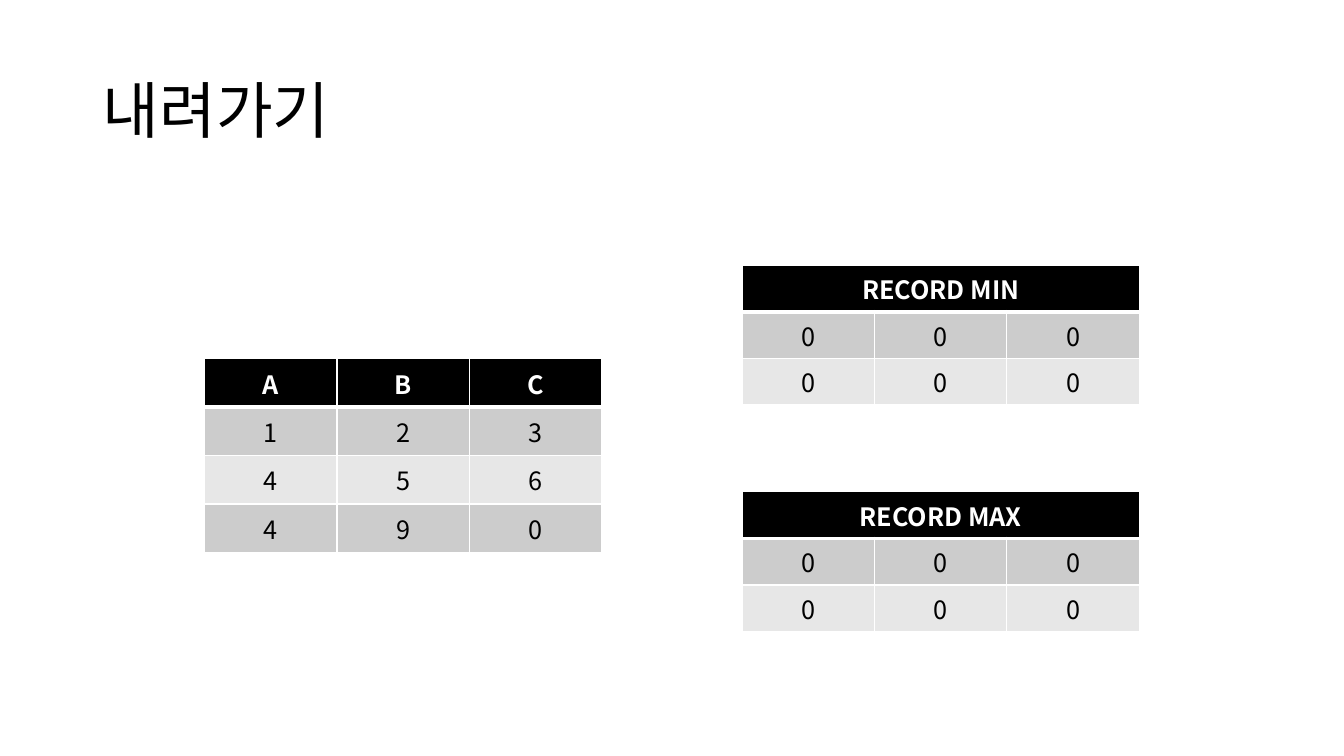
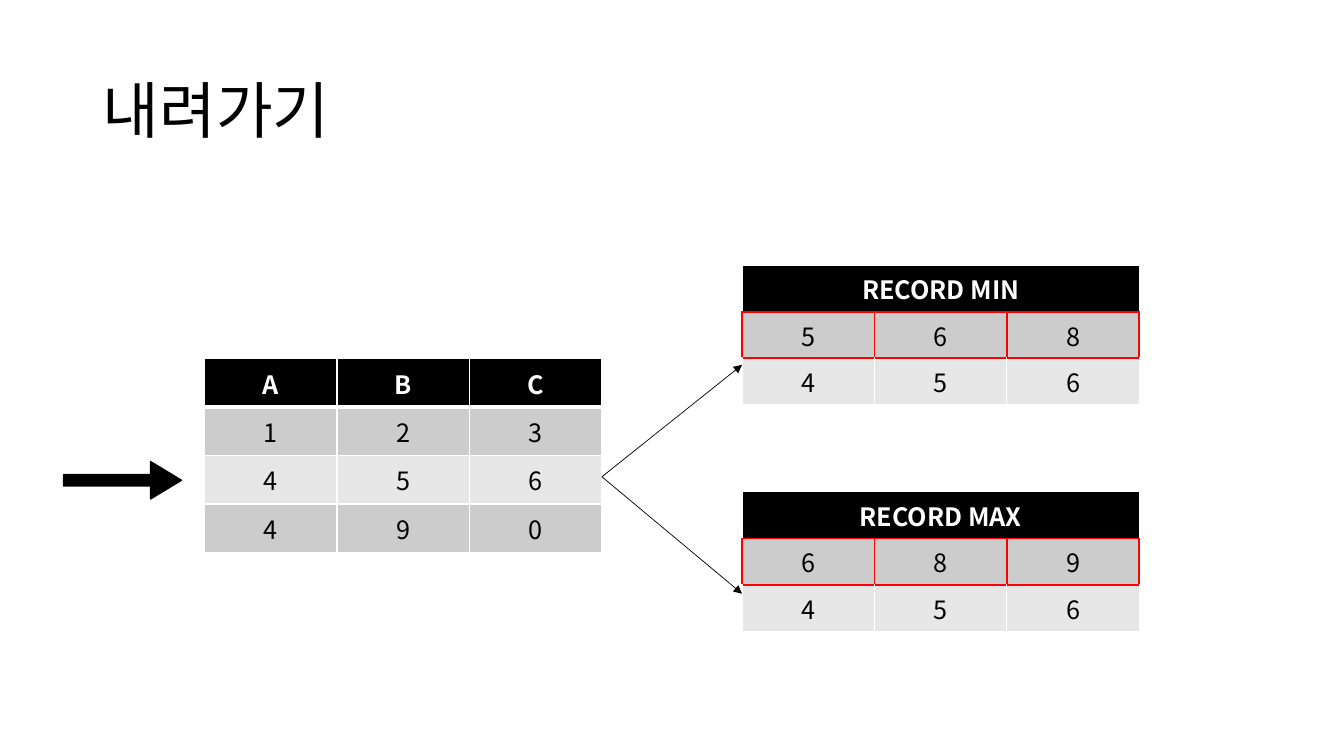
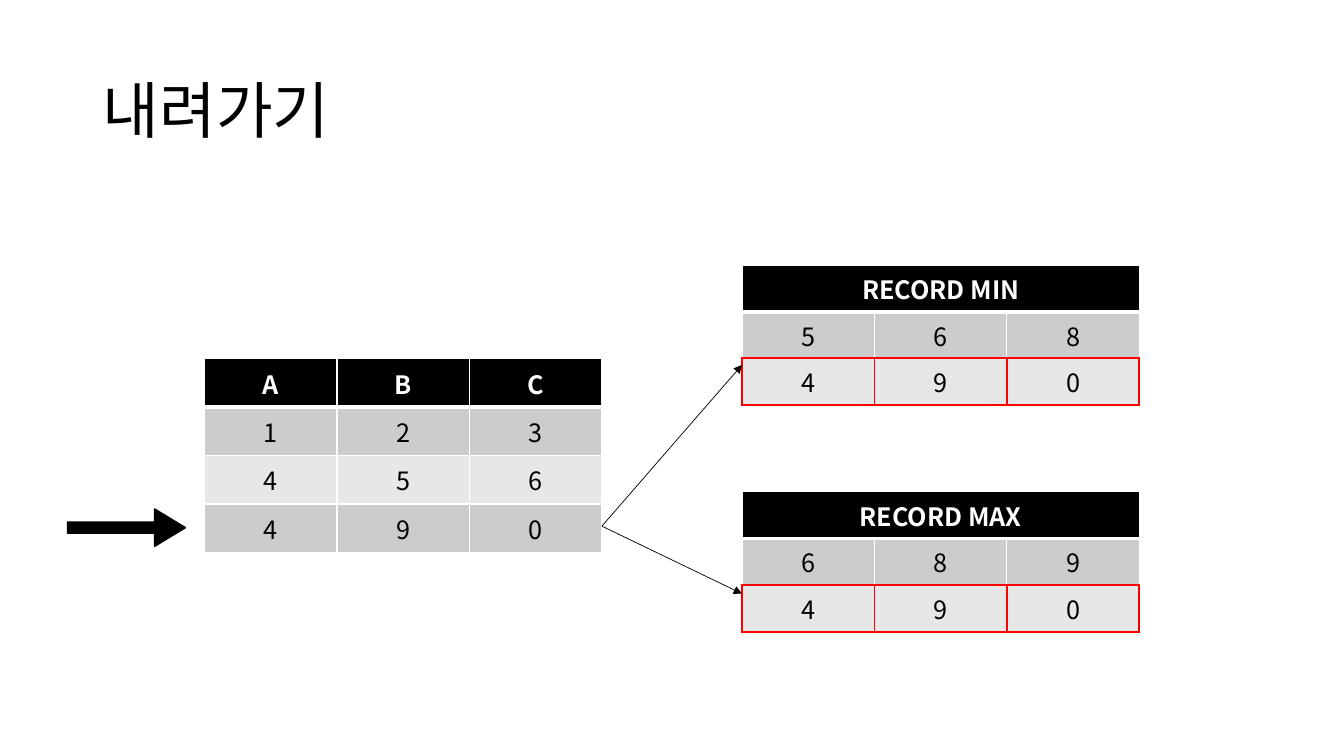
from lxml.etree import SubElement as Sub
from pptx import Presentation
from pptx.dml.color import RGBColor as Rgb
from pptx.enum.shapes import MSO_CONNECTOR as Link, MSO_SHAPE as Shape
from pptx.enum.text import MSO_ANCHOR as Anchor, MSO_AUTO_SIZE as Auto, PP_ALIGN as Align
from pptx.oxml.ns import qn
from pptx.util import Inches, Pt

BLACK = Rgb(0x00, 0x00, 0x00)
WHITE = Rgb(0xFF, 0xFF, 0xFF)
RED = Rgb(0xFF, 0x00, 0x00)
DARK = Rgb(0xCC, 0xCC, 0xCC)
LIGHT = Rgb(0xE7, 0xE7, 0xE7)
FACE = "Noto Sans CJK KR"

HEAD = {"size": Pt(18), "bold": True}
BODY = {"size": Pt(18), "bold": False}
TITLE = {"size": Pt(44), "bold": False}

# Table places: left, top, row height
INPUT = (2.03, 3.56, 0.48)
RECORDS = {"RECORD MIN": (7.36, 2.63, 0.46), "RECORD MAX": (7.36, 4.88, 0.46)}
WIDE = 3.94
TIPS = (3.62, 5.89)


class Deck:
    """Holds the shared style and the current slide."""

    def __init__(self):
        self.file = Presentation()
        self.file.slide_width = Inches(13.33)
        self.file.slide_height = Inches(7.5)
        self.slide = None

    def label(self, frame, text, form, color, align):
        para = frame.paragraphs[0]
        para.alignment = align
        run = para.add_run()
        run.text = text
        for key, value in form.items():
            setattr(run.font, key, value)
        run.font.color.rgb = color
        run.font.name = FACE
        # East Asian face for the Korean text
        Sub(run.font._element, qn("a:ea"), typeface=FACE)
        return para

    def page(self, title):
        self.slide = self.file.slides.add_slide(self.file.slide_layouts[5])
        head = self.slide.shapes.title
        place = {"left": 0.92, "top": 0.4, "width": 11.5, "height": 1.45}
        for key, value in place.items():
            setattr(head, key, Inches(value))
        frame = head.text_frame
        frame.auto_size = Auto.NONE
        frame.vertical_anchor = Anchor.MIDDLE
        para = self.label(frame, title, TITLE, BLACK, Align.LEFT)
        para.line_spacing = 0.9

    def border(self, cell, side, color, width):
        line = Sub(cell._tc.get_or_add_tcPr(), qn("a:ln" + side), w=str(Pt(width)))
        Sub(Sub(line, qn("a:solidFill")), qn("a:srgbClr"), val=str(color))

    def edge(self, row, lit):
        """Style of the rule above a row."""
        if lit in (row - 1, row):
            return RED, 1.5
        return WHITE, 3 if row == 1 else 1

    def table(self, place, rows, lit=None):
        """Draw rows under a header; a one-word header row spans the table."""
        left, top, high = place
        count = len(rows[-1])
        grid = self.slide.shapes.add_table(
            len(rows), count, Inches(left), Inches(top),
            Inches(WIDE), Inches(high * len(rows))).table
        grid.horz_banding = False
        for r in range(len(rows)):
            side = (RED, 1.5) if r == lit else (WHITE, 1)
            above, below = self.edge(r, lit), self.edge(r + 1, lit)
            fill = BLACK if r == 0 else DARK if r % 2 else LIGHT
            for c in range(count):
                cell = grid.cell(r, c)
                for name, rule in zip("LRTB", (side, side, above, below)):
                    self.border(cell, name, *rule)
                cell.fill.solid()
                cell.fill.fore_color.rgb = fill
                cell.vertical_anchor = Anchor.MIDDLE
            for c, text in enumerate(rows[r]):
                form, color = (BODY, BLACK) if r else (HEAD, WHITE)
                self.label(grid.cell(r, c).text_frame, text, form, color, Align.CENTER)
        if len(rows[0]) == 1:
            grid.cell(0, 0).merge(grid.cell(0, count - 1))

    def block(self, left, top):
        arrow = self.slide.shapes.add_shape(
            Shape.RIGHT_ARROW, Inches(left), Inches(top), Inches(1.17), Inches(0.37))
        arrow.shadow.inherit = False
        arrow.adjustments[0] = 0.3
        arrow.adjustments[1] = 0.825
        arrow.fill.solid()
        arrow.fill.fore_color.rgb = BLACK
        arrow.line.color.rgb = BLACK
        arrow.line.width = Pt(1)

    def arrow(self, start, end):
        link = self.slide.shapes.add_connector(
            Link.STRAIGHT, *[Inches(value) for value in start + end])
        link.line.color.rgb = BLACK
        link.line.width = Pt(0.5)
        prop = link._element.spPr
        Sub(prop.find(qn("a:ln")), qn("a:tailEnd"), type="triangle")
        Sub(prop, qn("a:effectLst"))


def main():
    deck = Deck()
    # Each step: record rows, lit row, block arrow place, start of the thin arrows
    steps = [
        (("000", "000"), ("000", "000"), None, None, None),
        (("568", "456"), ("689", "456"), 1, (0.63, 4.58), 4.73),
        (("568", "490"), ("689", "490"), 2, (0.67, 5.05), 5.22),
    ]
    for low, high, lit, mark, start in steps:
        deck.page("내려가기")
        deck.table(INPUT, ["ABC", "123", "456", "490"])
        # Record tables
        for (name, place), rows in zip(RECORDS.items(), (low, high)):
            deck.table(place, [[name], *rows], lit)
        # Arrows of the current row
        if mark:
            deck.block(*mark)
            for tip in TIPS:
                deck.arrow((INPUT[0] + WIDE, start), (7.36, tip))
    deck.file.save("out.pptx")


if __name__ == "__main__":
    main()
